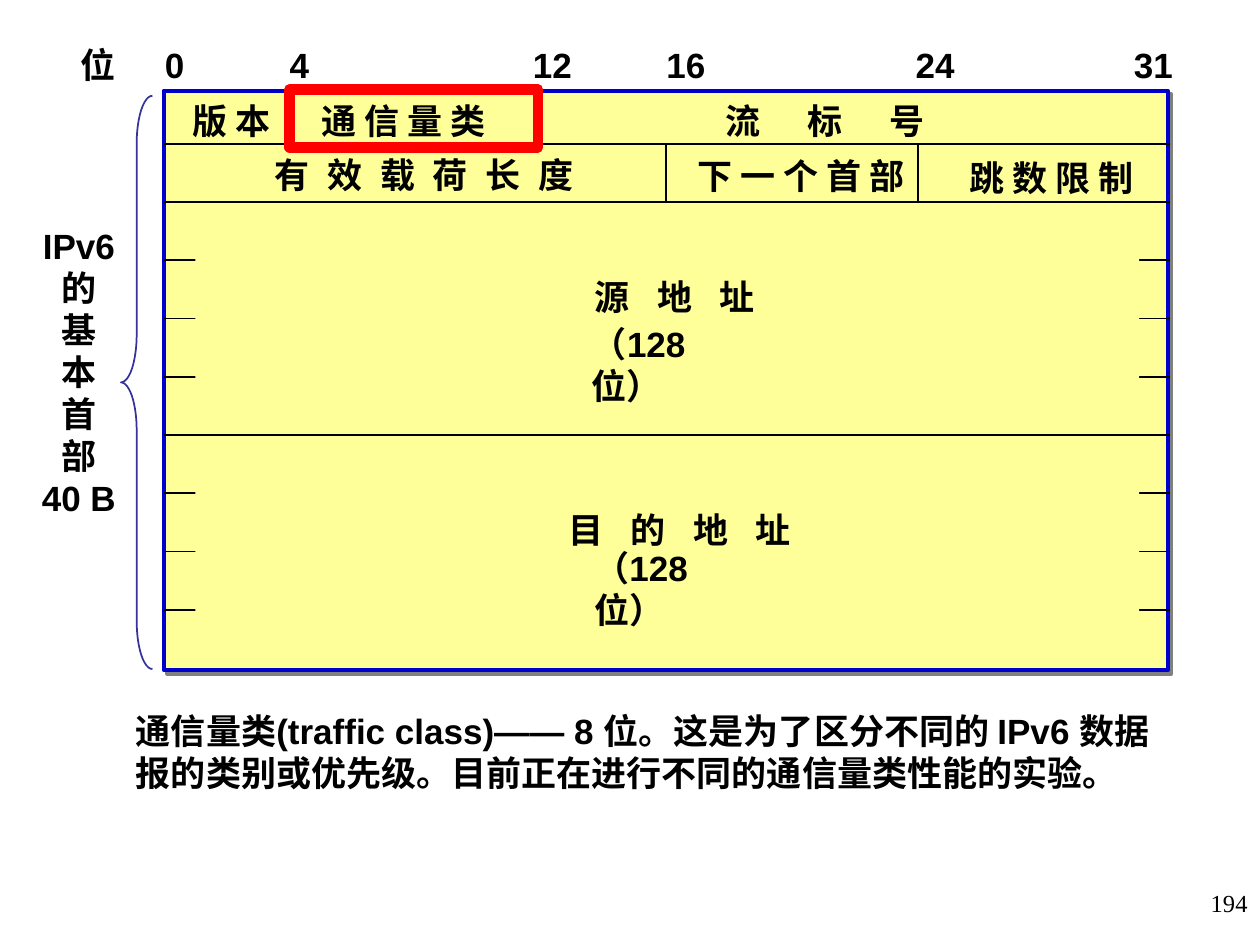
from typing import NamedTuple

from lxml.etree import SubElement
from pptx import Presentation
from pptx.dml.color import RGBColor
from pptx.enum.shapes import MSO_CONNECTOR, MSO_SHAPE
from pptx.enum.text import MSO_AUTO_SIZE, PP_ALIGN
from pptx.oxml.ns import qn
from pptx.util import Pt

COLORS = {
    "black": "000000",
    "field": "FFFF99",
    "frame": "0000CC",
    "shadow": "808080",
    "brace": "333399",
    "highlight": "FF0000",
}
LEFT, TOP, RIGHT = 93.6, 51.84, 668.6
FIRST_RULE, ROW_HEIGHT, ROW_COUNT = 82.1, 33.3, 9
BIT_WIDTH = 17.95
SCALE_TOP = 21.6


class Label(NamedTuple):
    wording: str
    left: float
    top: float
    width: float
    spacing: float = 0
    wrap: bool = False


class Box(NamedTuple):
    left: float
    top: float
    width: float
    height: float
    fill: str | None = None
    line: str | None = None
    weight: float = 0
    kind: MSO_SHAPE = MSO_SHAPE.RECTANGLE


class Rule(NamedTuple):
    x1: float
    y1: float
    x2: float
    y2: float


SCALE = [
    Label("位", 38.9, SCALE_TOP, 34.6),
    Label("0", 87.1, SCALE_TOP, 25.9),
    Label("4", 158.4, SCALE_TOP, 25.9),
    Label("12", 297.4, SCALE_TOP, 36.7),
    Label("16", 373.7, SCALE_TOP, 36.7),
    Label("24", 516.2, SCALE_TOP, 36.7),
    Label("31", 640.8, SCALE_TOP, 36.7),
]
FIELDS = [
    Label("版 本", 103, 53.3, 60.5),
    Label("通 信 量 类", 176.4, 53.3, 112.3),
    Label("流 标 号", 407.5, 53.3, 131, 11.1),
    Label("有 效 载 荷 长 度", 149.8, 84.2, 191.5, 2.8),
    Label("下 一 个 首 部", 391.7, 85, 138.2),
    Label("跳 数 限 制", 547.2, 85.7, 112.3),
    Label("源 地 址", 332.6, 154.1, 108.7, 5.6),
    Label("（128 位）", 331.2, 180.7, 105, wrap=True),
    Label("目 的 地 址", 317.5, 287.3, 145.4, 5.6),
    Label("（128 位）", 332.6, 308.9, 105, wrap=True),
]
FRAME = Box(LEFT, TOP, 573.8, 331.2, "field", "frame", 2.25)
ADDRESS_COVERS = [Box(111.6, top, 539.3, 89) for top in (270.7, 137.5)]
BRACE = Box(69.1, 54.7, 18, 327.6, None, "brace", 1, MSO_SHAPE.LEFT_BRACE)
HIGHLIGHT = Box(165.6, 51.1, 141.8, 33.1, None, "highlight", 6)


def rgb(name: str) -> RGBColor:
    return RGBColor.from_string(COLORS[name])


def add_text(slide, wording: str, left: float, top: float, width: float, height: float = 31,
             *, size: float = 20, font: str = "Arial", bold: bool = True,
             align: PP_ALIGN = PP_ALIGN.LEFT, spacing: float = 0,
             wrap: bool = False, grow: bool = True) -> None:
    frame = slide.shapes.add_textbox(Pt(left), Pt(top), Pt(width), Pt(height)).text_frame
    frame.word_wrap = wrap
    frame.auto_size = MSO_AUTO_SIZE.SHAPE_TO_FIT_TEXT if grow else MSO_AUTO_SIZE.NONE
    frame.text = wording
    for paragraph in frame.paragraphs:
        paragraph.alignment = align
        for run in paragraph.runs:
            run.font.size = Pt(size)
            run.font.name = font
            run.font.bold = bold
            run.font.color.rgb = rgb("black")
            if spacing:
                run._r.get_or_add_rPr().set("spc", str(round(spacing * 100)))


def add_label(slide, label: Label) -> None:
    add_text(slide, label.wording, label.left, label.top, label.width,
             spacing=label.spacing, wrap=label.wrap)


def add_box(slide, box: Box):
    shape = slide.shapes.add_shape(
        box.kind, Pt(box.left), Pt(box.top), Pt(box.width), Pt(box.height))
    shape.shadow.inherit = False
    if box.fill:
        shape.fill.solid()
        shape.fill.fore_color.rgb = rgb(box.fill)
    else:
        shape.fill.background()
    if box.line:
        shape.line.color.rgb = rgb(box.line)
        shape.line.width = Pt(box.weight)
    else:
        shape.line.fill.background()
    return shape


def add_shadow(shape) -> None:
    effects = shape._element.spPr.find(qn("a:effectLst"))
    shadow = SubElement(effects, qn("a:outerShdw"), dist=str(Pt(2.8)), dir="2700000",
                        algn="ctr", rotWithShape="0")
    SubElement(shadow, qn("a:srgbClr"), val=COLORS["shadow"])


def add_rule(slide, rule: Rule) -> None:
    connector = slide.shapes.add_connector(
        MSO_CONNECTOR.STRAIGHT, Pt(rule.x1), Pt(rule.y1), Pt(rule.x2), Pt(rule.y2))
    connector.line.color.rgb = rgb("black")
    connector.line.width = Pt(1)
    SubElement(connector._element.spPr, qn("a:effectLst"))


def bit_rule(bit: int, top: float, bottom: float) -> Rule:
    x = LEFT + bit * BIT_WIDTH
    return Rule(x, top, x, bottom)


def main() -> None:
    presentation = Presentation()
    presentation.slide_width, presentation.slide_height = Pt(720), Pt(540)
    slide = presentation.slides.add_slide(presentation.slide_layouts[6])

    add_shadow(add_box(slide, FRAME))
    for row in range(ROW_COUNT):
        y = FIRST_RULE + row * ROW_HEIGHT
        add_rule(slide, Rule(LEFT, y, RIGHT, y))
    for cover in ADDRESS_COVERS:
        add_box(slide, cover._replace(fill="field"))
    for bit in (4, 12):
        add_rule(slide, bit_rule(bit, TOP, FIRST_RULE))
    for bit in (16, 24):
        add_rule(slide, bit_rule(bit, FIRST_RULE, FIRST_RULE + ROW_HEIGHT))
    for label in SCALE + FIELDS:
        add_label(slide, label)

    brace = add_box(slide, BRACE)
    brace.adjustments[0] = 1.52
    add_text(slide, "IPv6\n的\n基\n本\n首\n部\n40 B", 16.6, 124.6, 56.9, 200.9,
             align=PP_ALIGN.CENTER)
    add_box(slide, HIGHLIGHT)
    add_text(slide, "通信量类(traffic class)—— 8 位。这是为了区分不同的 IPv6 "
             "数据报的类别或优先级。目前正在进行不同的通信量类性能的实验。",
             70.6, 401.8, 608.4, 55.4, wrap=True)
    add_text(slide, "194", 570.2, 504, 149.8, 36, size=14, font="Times New Roman",
             bold=False, align=PP_ALIGN.RIGHT, wrap=True, grow=False)
    presentation.save("out.pptx")


if __name__ == "__main__":
    main()
